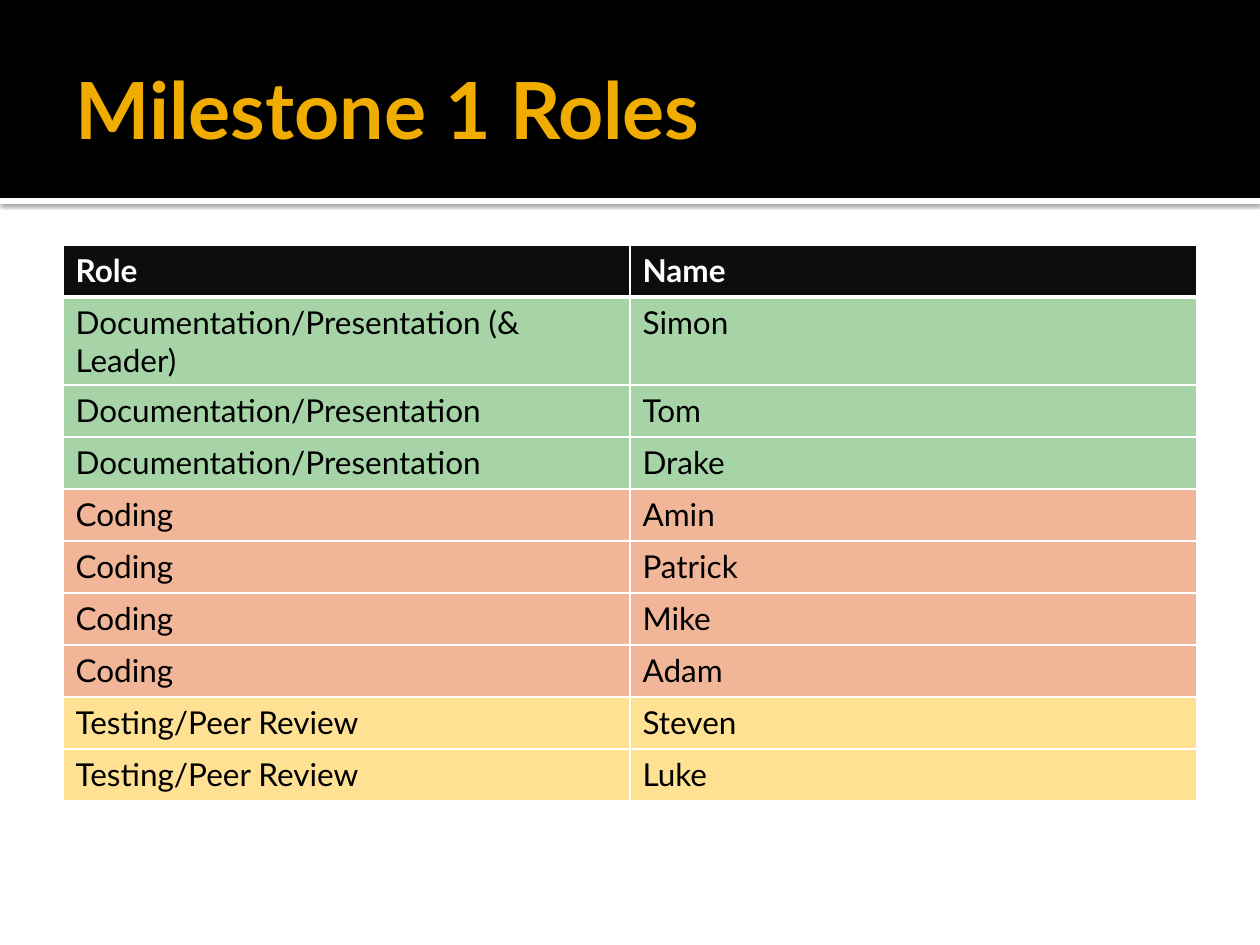
from dataclasses import dataclass

from lxml import etree
from pptx import Presentation
from pptx import util as u
from pptx.dml.color import RGBColor
from pptx.enum import shapes, text
from pptx.oxml.ns import qn

PIXEL = 914400 / 126
FONT = "Lato"
WHITE = RGBColor(0xFF, 0xFF, 0xFF)
BLACK = RGBColor(0x00, 0x00, 0x00)
GOLD = RGBColor(0xF0, 0xAD, 0x00)
CHARCOAL = RGBColor(0x0D, 0x0D, 0x0D)
GREEN = RGBColor(0xA6, 0xD4, 0xA7)
ORANGE = RGBColor(0xF1, 0xB6, 0x97)
YELLOW = RGBColor(0xFF, 0xE1, 0x93)


@dataclass
class Team:
    role: str
    names: list[str]
    fill: RGBColor


@dataclass
class Row:
    texts: tuple[str, str]
    fill: RGBColor


TEAMS = [
    Team("Documentation/Presentation", ["Simon", "Tom", "Drake"], GREEN),
    Team("Coding", ["Amin", "Patrick", "Mike", "Adam"], ORANGE),
    Team("Testing/Peer Review", ["Steven", "Luke"], YELLOW),
]
LEADER = "Simon"


def px(pixels: int) -> u.Emu:
    return u.Emu(round(pixels * PIXEL))


def add_band(slide, top: int, height: int, color: RGBColor):
    band = slide.shapes.add_shape(
        shapes.MSO_SHAPE.RECTANGLE, 0, px(top), px(1260), px(height))
    band.shadow.inherit = False
    band.fill.solid()
    band.fill.fore_color.rgb = color
    band.line.fill.background()
    return band


def add_shadow(shape) -> None:
    effects = shape._element.spPr.find(qn("a:effectLst"))
    shadow = etree.SubElement(
        effects, qn("a:outerShdw"), blurRad=str(u.Pt(2.5)),
        dist=str(u.Pt(0.8)), dir="5400000", algn="tl", rotWithShape="0")
    color = etree.SubElement(shadow, qn("a:srgbClr"), val=str(BLACK))
    etree.SubElement(color, qn("a:alpha"), val="60000")


def style_font(paragraph, size: int, color: RGBColor, bold: bool) -> None:
    font = paragraph.font
    font.name, font.size, font.bold = FONT, u.Pt(size), bold
    font.color.rgb = color


def set_borders(cell, top: int, bottom: int) -> None:
    properties = cell._tc.get_or_add_tcPr()
    for side, points in (("L", 1), ("R", 1), ("T", top), ("B", bottom)):
        line = etree.SubElement(
            properties, qn(f"a:ln{side}"), w=str(u.Pt(points)))
        fill = etree.SubElement(line, qn("a:solidFill"))
        etree.SubElement(fill, qn("a:srgbClr"), val=str(WHITE))


def add_title(slide, wording: str) -> None:
    box = slide.shapes.add_textbox(px(63), px(22), px(1134), px(172))
    frame = box.text_frame
    frame.word_wrap = True
    frame.vertical_anchor = text.MSO_ANCHOR.MIDDLE
    frame.margin_right = u.Inches(0.05)
    frame.text = wording
    style_font(frame.paragraphs[0], 45, GOLD, True)


def add_roles_table(slide, rows: list[Row]) -> None:
    table = slide.shapes.add_table(
        len(rows), 2, px(63), px(245), px(1134), px(52 * len(rows))).table
    for index, row in enumerate(rows):
        header = index == 0
        table.rows[index].height = px(52)
        for column, wording in enumerate(row.texts):
            cell = table.cell(index, column)
            set_borders(cell, 3 if index == 1 else 1, 3 if header else 1)
            cell.fill.solid()
            cell.fill.fore_color.rgb = row.fill
            cell.text = wording
            style_font(cell.text_frame.paragraphs[0], 18,
                       WHITE if header else BLACK, header)


presentation = Presentation()
presentation.slide_width, presentation.slide_height = px(1260), px(945)
slide = presentation.slides.add_slide(presentation.slide_layouts[6])

# Title banner with a shadowed white strip below it
add_shadow(add_band(slide, 198, 6, WHITE))
add_band(slide, 0, 198, BLACK)
add_title(slide, "Milestone 1 Roles")

# Roles, one row per person, coloured by team
rows = [Row(("Role", "Name"), CHARCOAL)]
for team in TEAMS:
    for name in team.names:
        role = f"{team.role} (& Leader)" if name == LEADER else team.role
        rows.append(Row((role, name), team.fill))
add_roles_table(slide, rows)

presentation.save("out.pptx")
